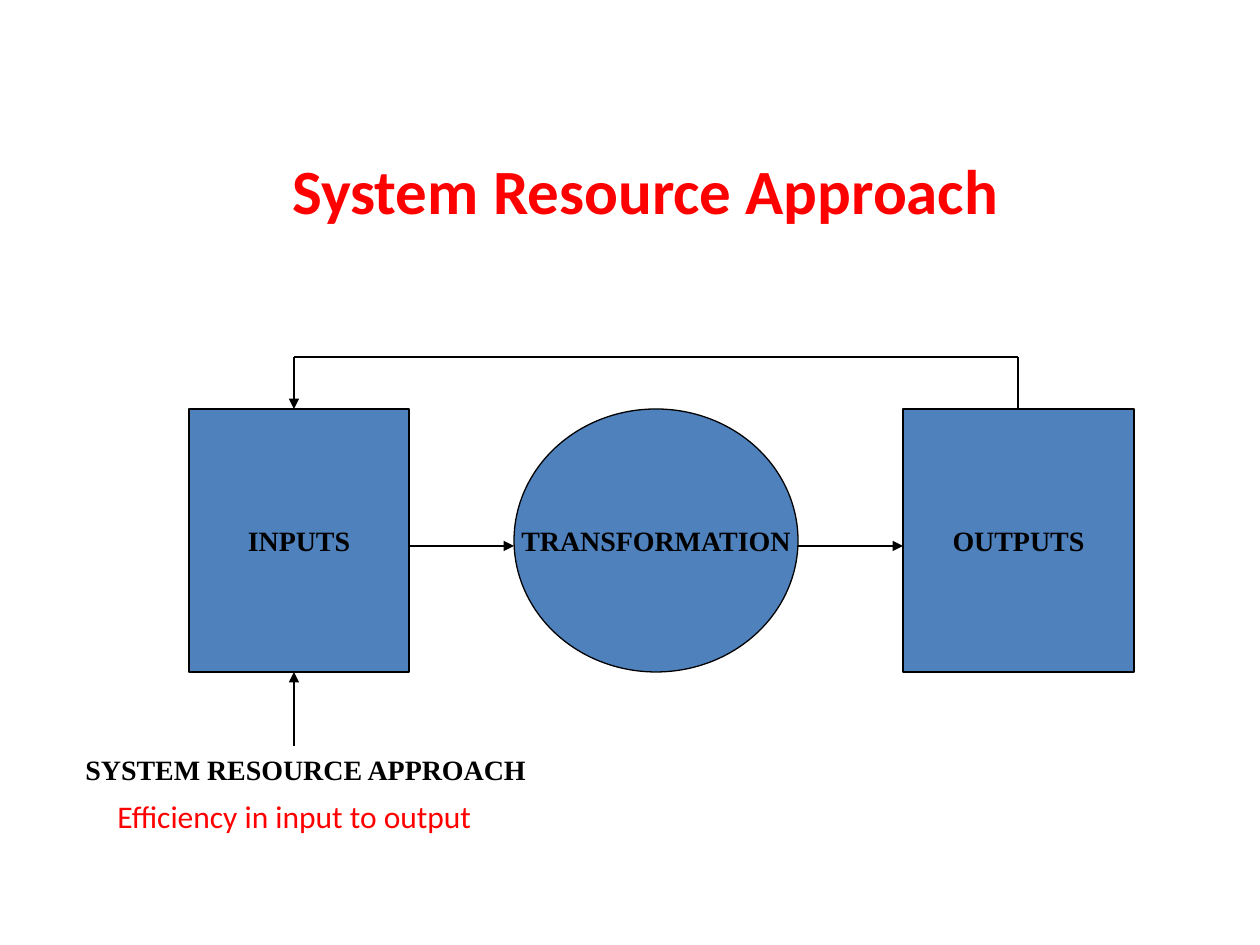
from pptx import Presentation
from pptx.dml.color import RGBColor
from pptx.enum.shapes import MSO_CONNECTOR, MSO_SHAPE
from pptx.enum.text import MSO_ANCHOR, MSO_AUTO_SIZE, PP_ALIGN
from pptx.oxml.ns import qn
from pptx.util import Emu, Pt
from lxml.etree import SubElement

RED = RGBColor(0xFF, 0x00, 0x00)
BLUE = RGBColor(0x4F, 0x81, 0xBD)
BLACK = RGBColor(0x00, 0x00, 0x00)
SANS = "Calibri"
SERIF = "Times New Roman"
PX_PER_INCH = 126


def px(*lengths):
    return [Emu(round(n * 914400 / PX_PER_INCH)) for n in lengths]


def add_run(p, text, size, font, color, bold=False):
    r = p.add_run()
    r.text = text
    r.font.size = Pt(size)
    r.font.name = font
    r.font.color.rgb = color
    r.font.bold = bold


def set_title(s, text, box):
    sp = s.shapes.title
    sp.left, sp.top, sp.width, sp.height = px(*box)
    tf = sp.text_frame
    tf.vertical_anchor = MSO_ANCHOR.MIDDLE
    p = tf.paragraphs[0]
    p.alignment = PP_ALIGN.CENTER
    add_run(p, text, 36, SANS, RED, True)


def add_stage(s, kind, text, box):
    sp = s.shapes.add_shape(kind, *px(*box))
    sp.shadow.inherit = False
    sp.fill.solid()
    sp.fill.fore_color.rgb = BLUE
    sp.line.color.rgb = BLACK
    sp.line.width = Pt(0.75)
    tf = sp.text_frame
    tf.word_wrap = False
    tf.vertical_anchor = MSO_ANCHOR.MIDDLE
    p = tf.paragraphs[0]
    p.alignment = PP_ALIGN.CENTER
    add_run(p, text, 16, SERIF, BLACK, True)


def add_label(s, text, box, size, font, color, bold=False):
    tf = s.shapes.add_textbox(*px(*box)).text_frame
    tf.word_wrap = False
    tf.auto_size = MSO_AUTO_SIZE.SHAPE_TO_FIT_TEXT
    add_run(tf.paragraphs[0], text, size, font, color, bold)


def add_line(s, start, end, arrow=True):
    line = s.shapes.add_connector(MSO_CONNECTOR.STRAIGHT, *px(*start, *end))
    line.line.color.rgb = BLACK
    line.line.width = Pt(0.75)
    if arrow:
        SubElement(line.line._get_or_add_ln(), qn("a:tailEnd"), type="triangle")
    SubElement(line._element.spPr, qn("a:effectLst"))


def main():
    prs = Presentation()
    prs.slide_width, prs.slide_height = px(1260, 945)
    s = prs.slides.add_slide(prs.slide_layouts[5])
    set_title(s, "System Resource Approach", (94, 84, 1103, 210))

    top, height = 409, 263
    bottom = top + height
    add_stage(s, MSO_SHAPE.OVAL, "TRANSFORMATION", (514, top, 284, height))
    add_stage(s, MSO_SHAPE.RECTANGLE, "INPUTS", (189, top, 220, height))
    add_stage(s, MSO_SHAPE.RECTANGLE, "OUTPUTS", (903, top, 231, height))

    flow_y, loop_y, source_y = 546, 357, 746
    input_x, output_x = 294, 1018
    add_line(s, (409, flow_y), (514, flow_y))
    add_line(s, (798, flow_y), (903, flow_y))
    add_line(s, (input_x, source_y), (input_x, bottom))
    add_line(s, (output_x, top), (output_x, loop_y), arrow=False)
    add_line(s, (output_x, loop_y), (input_x, loop_y), arrow=False)
    add_line(s, (input_x, loop_y), (input_x, top))

    add_label(s, "SYSTEM RESOURCE APPROACH", (73, source_y, 467, 47),
              16, SERIF, BLACK, True)
    add_label(s, "Efficiency in input to output", (105, 791, 384, 50),
              18, SANS, RED)
    prs.save("out.pptx")


if __name__ == "__main__":
    main()
